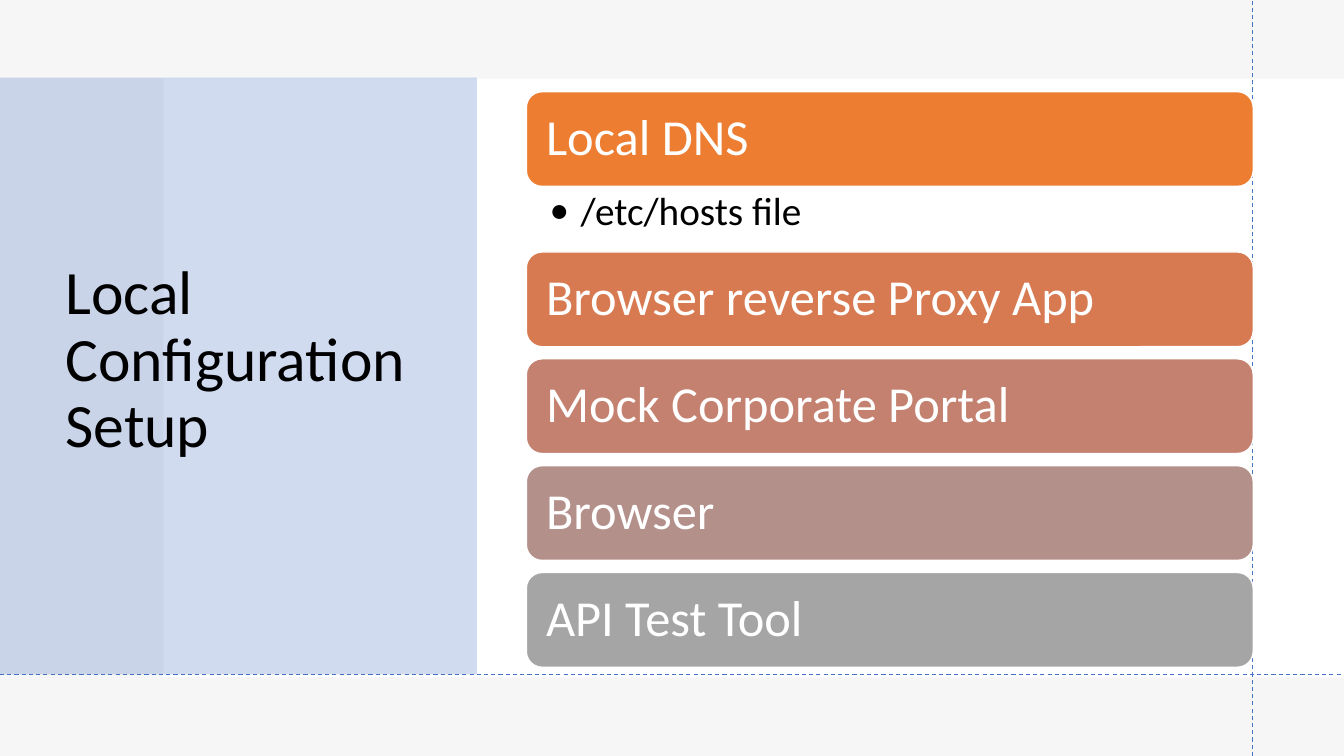
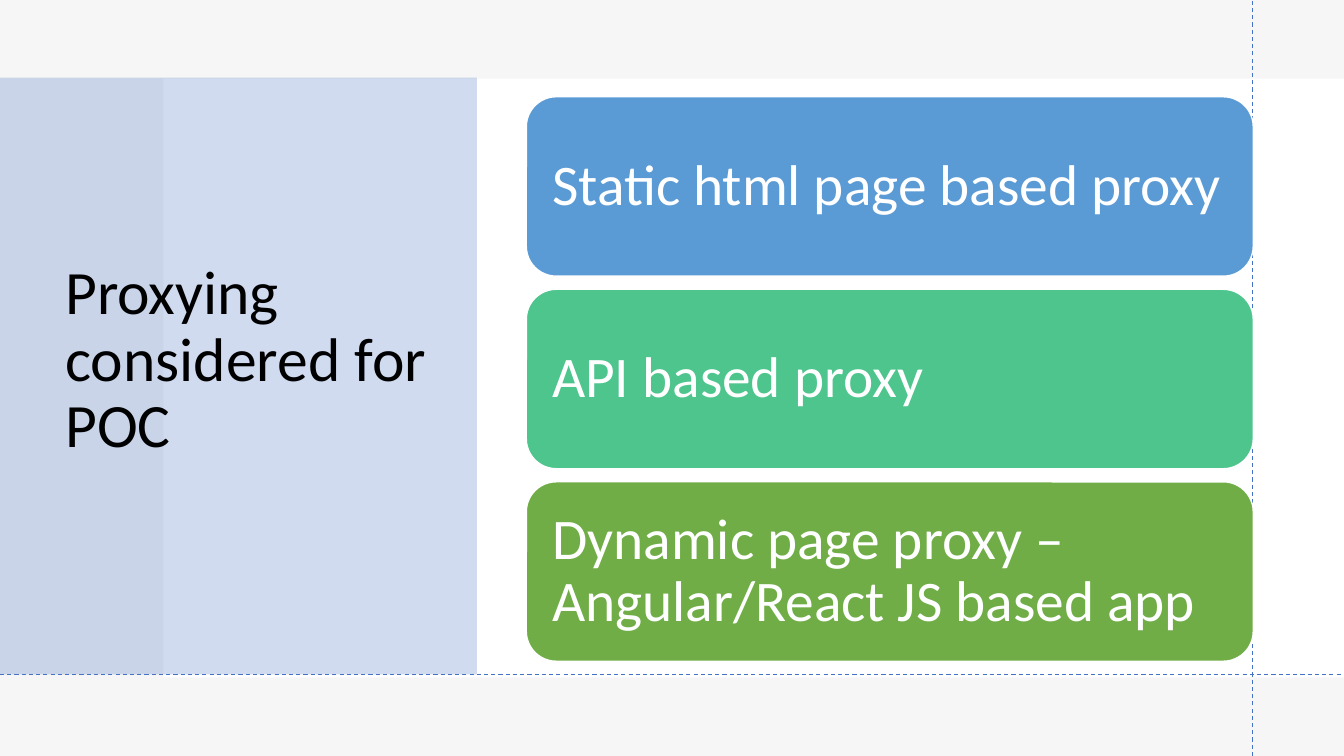
from pptx import Presentation
from pptx.dml.color import RGBColor
from pptx.enum.dml import MSO_LINE
from pptx.enum.shapes import MSO_CONNECTOR, MSO_SHAPE
from pptx.enum.text import MSO_ANCHOR, PP_ALIGN
from pptx.oxml.ns import qn
from pptx.util import Inches, Pt
from lxml import etree

RECT, ROUND = MSO_SHAPE.RECTANGLE, MSO_SHAPE.ROUNDED_RECTANGLE
STRAIGHT, DASH = MSO_CONNECTOR.STRAIGHT, MSO_LINE.DASH
MIDDLE, TOP, LEFT = MSO_ANCHOR.MIDDLE, MSO_ANCHOR.TOP, PP_ALIGN.LEFT

WIDE, HIGH = 13.33, 7.5
FONT = "Calibri"
COLORS = {
    "mist": "F6F6F6", "white": "FFFFFF", "black": "000000", "blue": "4472C4",
    "orange": "ED7D31", "rust": "D87A51", "rose": "C48170", "mauve": "B4908B",
    "gray": "A5A5A5", "sky": "5B9BD5", "mint": "4DC58D", "green": "70AD47",
}
PANEL = (0, 0.77, 4.73, 5.92)
TITLE = (0.55, 0.74, 3.95, 5.69)
GUIDE_X, GUIDE_Y = 12.42, 6.69
LIST_X, LIST_W = 5.22, 7.21

SETUP = {
    "title": "Local Configuration Setup",
    "top": 0.91, "height": 0.94, "gap": 0.12, "size": 36, "inset": 0.15,
    "rows": [
        ("Local DNS", "orange", "/etc/hosts file"),
        ("Browser reverse Proxy App", "rust", None),
        ("Mock Corporate Portal", "rose", None),
        ("Browser", "mauve", None),
        ("API Test Tool", "gray", None),
    ],
}
PROXY = {
    "title": "Proxying considered for POC",
    "top": 0.96, "height": 1.78, "gap": 0.13, "size": 41, "inset": 0.17,
    "rows": [
        ("Static html page based proxy", "sky", None),
        ("API based proxy", "mint", None),
        ("Dynamic page proxy – Angular/React JS based app", "green", None),
    ],
}


def rgb(name):
    """Return the named color."""
    return RGBColor.from_string(COLORS[name])


def add_box(slide, kind, box, fill, edge=None, alpha=None):
    """Add a filled shape with an optional outline and opacity in percent."""
    shape = slide.shapes.add_shape(kind, *map(Inches, box))
    shape.shadow.inherit = False
    shape.fill.solid()
    shape.fill.fore_color.rgb = rgb(fill)
    if alpha:
        tint = shape.element.spPr.find(".//" + qn("a:srgbClr"))
        etree.SubElement(tint, qn("a:alpha"), val=str(alpha * 1000))
    if edge:
        shape.line.color.rgb = rgb(edge)
        shape.line.width = Pt(1)
    else:
        shape.line.fill.background()
    return shape


def set_text(shape, text, size, color, insets=(0.1, 0.05, 0.1, 0.05), anchor=MIDDLE):
    """Write one left-aligned paragraph and return it."""
    frame = shape.text_frame
    sides = ("margin_left", "margin_top", "margin_right", "margin_bottom")
    look = dict(zip(sides, map(Inches, insets)))
    for key, value in {**look, "word_wrap": True, "vertical_anchor": anchor}.items():
        setattr(frame, key, value)
    para = frame.paragraphs[0]
    para.alignment, para.line_spacing = LEFT, 0.9
    run = para.add_run()
    run.text = text
    for key, value in {"name": FONT, "size": Pt(size)}.items():
        setattr(run.font, key, value)
    run.font.color.rgb = rgb(color)
    return para


def add_text(slide, box, *args, **style):
    """Add a text box and return its paragraph."""
    return set_text(slide.shapes.add_textbox(*map(Inches, box)), *args, **style)


def add_guide(slide, *ends):
    """Draw a dashed guide line."""
    guide = slide.shapes.add_connector(STRAIGHT, *map(Inches, ends))
    guide.line.color.rgb = rgb("blue")
    guide.line.width = Pt(0.75)
    guide.line.dash_style = DASH
    etree.SubElement(guide.element.spPr, qn("a:effectLst"))


def add_frame(slide, title):
    """Draw the shared bands, title panel and guides."""
    slide.background.fill.solid()
    slide.background.fill.fore_color.rgb = rgb("mist")
    add_box(slide, RECT, (1.62, 0.78, WIDE - 1.62, 5.94), "white")
    add_box(slide, RECT, PANEL, "blue", alpha=25)
    add_text(slide, TITLE, title, 44, "black")
    add_guide(slide, GUIDE_X, HIGH, GUIDE_X, 0)
    add_guide(slide, 0, GUIDE_Y, WIDE, GUIDE_Y)


def add_note(slide, box, text):
    """Add a bulleted line below a bar."""
    para = add_text(slide, box, text, 28, "black",
                    insets=(0.23, 0.05, 0.28, 0.05), anchor=TOP)
    props = para._p.get_or_add_pPr()
    props.set("marL", str(Inches(0.31)))
    props.set("indent", str(Inches(-0.31)))
    etree.SubElement(props, qn("a:buFont"), typeface=FONT)
    etree.SubElement(props, qn("a:buChar"), char="•")


def add_list(slide, left, width, plan):
    """Stack the bars, leaving room for a note where there is one."""
    top, height, note_h = plan["top"], plan["height"], 0.65
    for text, color, note in plan["rows"]:
        bar = add_box(slide, ROUND, (left, top, width, height), color, edge="white")
        set_text(bar, text, plan["size"], "white", insets=(plan["inset"],) * 4)
        top += height
        if note:
            add_note(slide, (left, top, width, note_h), note)
        top += note_h if note else plan["gap"]


def main():
    """Build and save the deck."""
    deck = Presentation()
    deck.slide_width, deck.slide_height = Inches(WIDE), Inches(HIGH)
    for plan in (SETUP, PROXY):
        slide = deck.slides.add_slide(deck.slide_layouts[6])
        add_frame(slide, plan["title"])
        add_list(slide, LIST_X, LIST_W, plan)
    deck.save("out.pptx")


if __name__ == "__main__":
    main()
